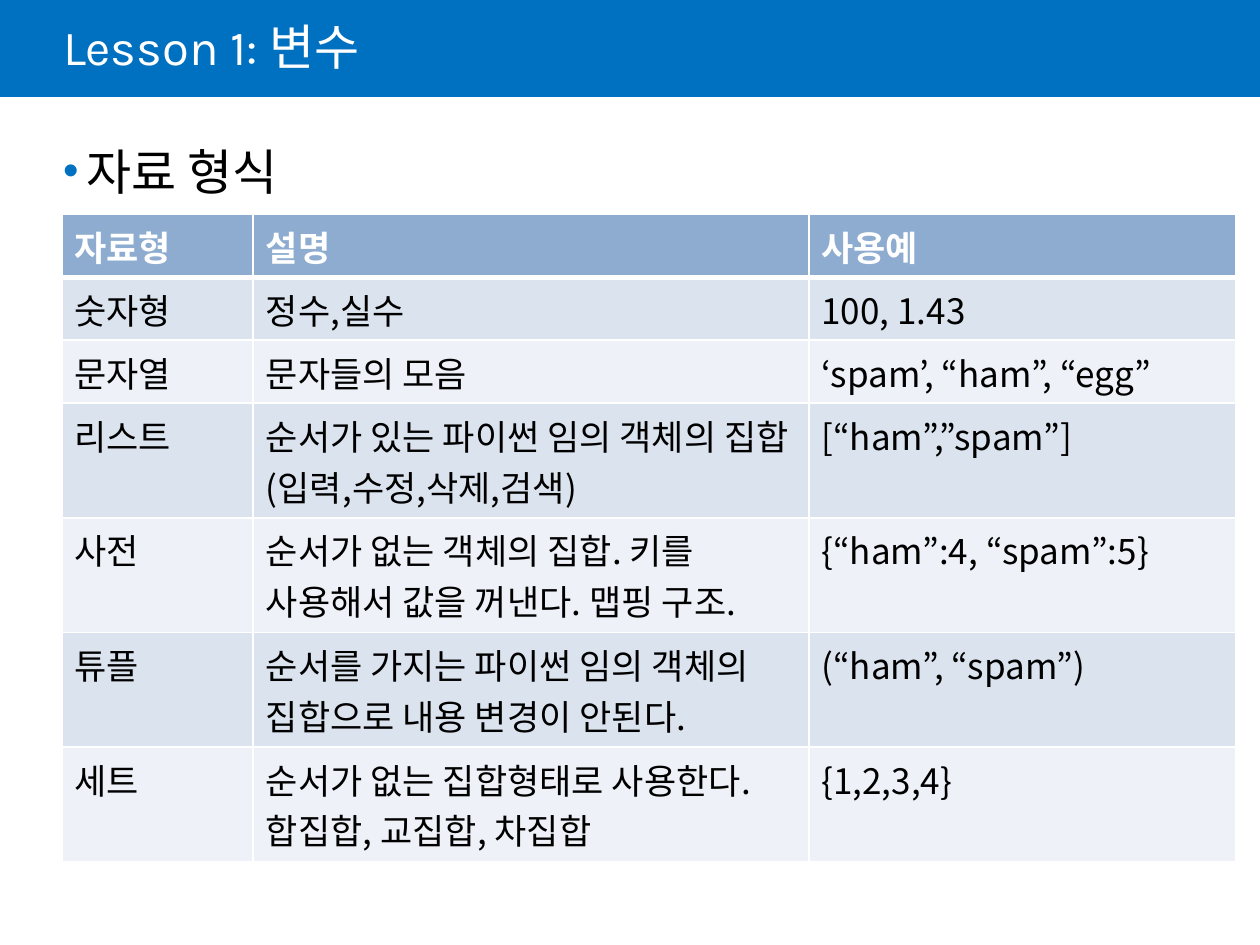
"""Build the lesson slide on Python data types."""
from dataclasses import dataclass
from typing import Any

from lxml.etree import SubElement
from pptx import Presentation
from pptx.dml.color import RGBColor
from pptx.enum.shapes import MSO_SHAPE as Preset
from pptx.enum.text import MSO_ANCHOR as Anchor, MSO_AUTO_SIZE as AutoSize, PP_ALIGN as Align
from pptx.oxml.ns import qn
from pptx.util import Inches, Pt


@dataclass(frozen=True)
class Theme:
    blue: str = "0070C0"
    white: str = "FFFFFF"
    black: str = "000000"
    header: str = "8DACD0"
    bands: tuple[str, str] = ("DBE3EE", "EEF1F7")
    latin: str = "Karla"
    korean: str = "Noto Sans CJK KR"
    heading_size: int = 28
    table_size: int = 20


@dataclass(frozen=True)
class DataType:
    name: str
    description: str
    example: str
    height: float = 0.5


THEME = Theme()
TALL = 0.91
HEADER = DataType("자료형", "설명", "사용예")
DATA_TYPES = [
    DataType("숫자형", "정수,실수", "100, 1.43"),
    DataType("문자열", "문자들의 모음", "‘spam’, “ham”, “egg”"),
    DataType("리스트", "순서가 있는 파이썬 임의 객체의 집합(입력,수정,삭제,검색)", "[“ham”,”spam”]", TALL),
    DataType("사전", "순서가 없는 객체의 집합. 키를 사용해서 값을 꺼낸다. 맵핑 구조.", "{“ham”:4, “spam”:5}", TALL),
    DataType("튜플", "순서를 가지는 파이썬 임의 객체의 집합으로 내용 변경이 안된다.", "(“ham”, “spam”)", TALL),
    DataType("세트", "순서가 없는 집합형태로 사용한다. 합집합, 교집합, 차집합", "{1,2,3,4}", TALL),
]
COLUMN_WIDTHS = (1.52, 4.41, 3.39)


def apply_format(target: Any, values: dict[str, Any]) -> None:
    """Set each named attribute on the target."""
    for name, value in values.items():
        setattr(target, name, value)


def write_text(paragraph: Any, text: str, size: int, color: str,
               font: str = THEME.korean, bold: bool = False) -> Any:
    """Add one formatted run and return it."""
    run = paragraph.add_run()
    run.text = text
    apply_format(run.font, {"name": font, "size": Pt(size), "bold": bold})
    run.font.color.rgb = RGBColor.from_string(color)
    return run


def add_title(slide: Any, text: str) -> None:
    """Format the title placeholder and put the blue band behind it."""
    title = slide.shapes.title
    apply_format(title, {"left": Inches(0.5), "top": Inches(0),
                         "width": Inches(8.5), "height": Inches(0.81)})
    apply_format(title.text_frame, {
        "margin_left": 0, "margin_right": Inches(0.1), "word_wrap": True,
        "vertical_anchor": Anchor.MIDDLE, "auto_size": AutoSize.NONE})
    paragraph = title.text_frame.paragraphs[0]
    apply_format(paragraph, {"alignment": Align.LEFT, "line_spacing": 0.85})
    run = write_text(paragraph, text, THEME.heading_size, THEME.white, THEME.latin)
    SubElement(run.font._element, qn("a:ea"), typeface=THEME.korean)

    band = slide.shapes.add_shape(Preset.RECTANGLE, 0, 0, Inches(10), Inches(0.77))
    band.shadow.inherit = False
    band.fill.solid()
    band.fill.fore_color.rgb = RGBColor.from_string(THEME.blue)
    band.line.fill.background()
    title.element.addprevious(band.element)


def add_bullet(slide: Any, text: str) -> None:
    """Add the bulleted heading above the table."""
    box = slide.shapes.add_textbox(Inches(0.5), Inches(1.12), Inches(8.88), Inches(5.63))
    sides = ("left", "top", "right", "bottom")
    apply_format(box.text_frame, {"word_wrap": True} | {f"margin_{side}": 0 for side in sides})
    paragraph = box.text_frame.paragraphs[0]
    paragraph.space_before = Pt(6)
    properties = paragraph._p.get_or_add_pPr()
    properties.set("marL", str(Inches(0.19)))
    properties.set("indent", str(-Inches(0.19)))
    color = SubElement(properties, qn("a:buClr"))
    SubElement(color, qn("a:srgbClr"), val=THEME.blue)
    SubElement(properties, qn("a:buSzPct"), val="90000")
    SubElement(properties, qn("a:buFont"), typeface="Arial")
    SubElement(properties, qn("a:buChar"), char="•")
    write_text(paragraph, text, THEME.heading_size, THEME.black)


def add_borders(cell: Any, widths: dict[str, int]) -> None:
    """Draw white cell borders with the given point widths."""
    properties = cell._tc.get_or_add_tcPr()
    for side, width in widths.items():
        line = SubElement(properties, qn(f"a:ln{side}"), w=str(Pt(width)))
        fill = SubElement(line, qn("a:solidFill"))
        SubElement(fill, qn("a:srgbClr"), val=THEME.white)


def add_data_table(slide: Any) -> None:
    """Add the table of data types with its header and banded rows."""
    rows = [HEADER, *DATA_TYPES]
    table = slide.shapes.add_table(
        len(rows), len(COLUMN_WIDTHS), Inches(0.49), Inches(1.7),
        Inches(sum(COLUMN_WIDTHS)), Inches(sum(item.height for item in rows))).table
    for column, width in zip(table.columns, COLUMN_WIDTHS):
        column.width = Inches(width)
    for index, (row, item) in enumerate(zip(table.rows, rows)):
        row.height = Inches(item.height)
        is_header = index == 0
        fill = THEME.header if is_header else THEME.bands[(index - 1) % 2]
        color = THEME.white if is_header else THEME.black
        borders = {"L": 1, "R": 1, "T": 3 if index == 1 else 1, "B": 3 if is_header else 1}
        for cell, text in zip(row.cells, (item.name, item.description, item.example)):
            add_borders(cell, borders)
            cell.fill.solid()
            cell.fill.fore_color.rgb = RGBColor.from_string(fill)
            write_text(cell.text_frame.paragraphs[0], text, THEME.table_size, color, bold=is_header)


def main() -> None:
    """Create and save the presentation."""
    presentation = Presentation()
    apply_format(presentation, {"slide_width": Inches(10), "slide_height": Inches(7.5)})
    slide = presentation.slides.add_slide(presentation.slide_layouts.get_by_name("Title Only"))
    add_title(slide, "Lesson 1: 변수")
    add_bullet(slide, "자료 형식")
    add_data_table(slide)
    presentation.save("out.pptx")


if __name__ == "__main__":
    main()
